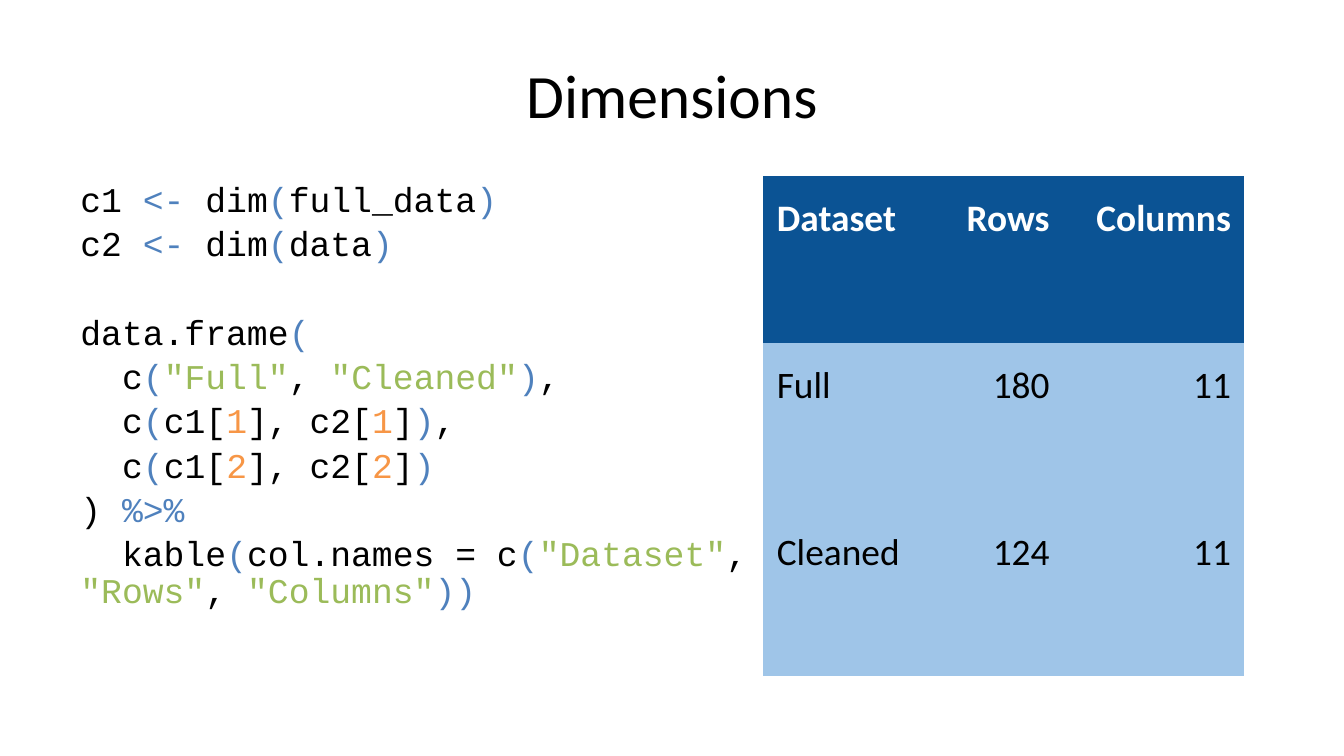
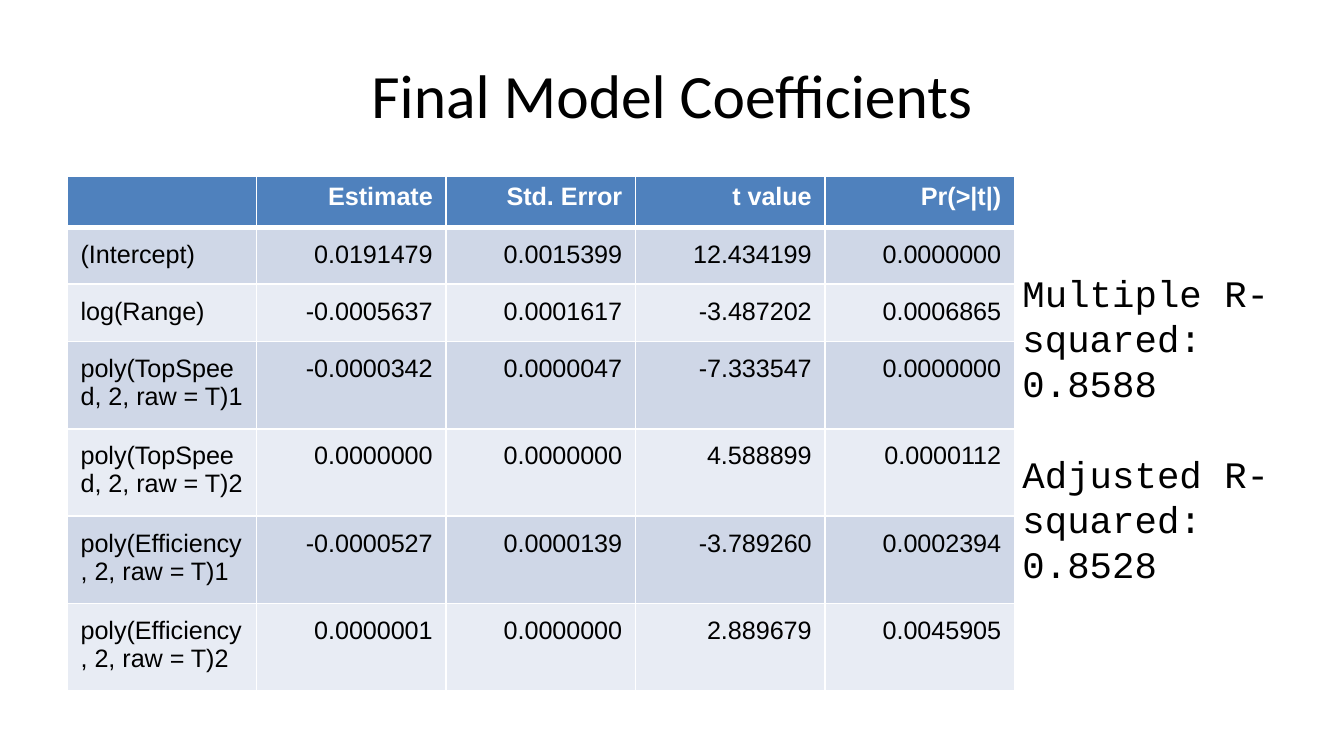
from dataclasses import dataclass
from typing import NamedTuple

from lxml.etree import SubElement
from pptx import Presentation
from pptx.dml.color import RGBColor
from pptx.enum.text import MSO_ANCHOR, PP_ALIGN
from pptx.oxml.ns import qn
from pptx.util import Inches, Pt

BLACK = RGBColor(0x00, 0x00, 0x00)
WHITE = RGBColor(0xFF, 0xFF, 0xFF)
BLUE = RGBColor(0x4F, 0x81, 0xBD)
GREEN = RGBColor(0x9B, 0xBB, 0x59)
ORANGE = RGBColor(0xF7, 0x96, 0x46)
NAVY = RGBColor(0x0B, 0x53, 0x94)
SKY = RGBColor(0x9F, 0xC5, 0xE8)
BAND_DARK = RGBColor(0xCF, 0xD7, 0xE7)
BAND_LIGHT = RGBColor(0xE8, 0xEC, 0xF4)

HEADING_FONT = "Calibri"
TABLE_FONT = "Arial"
CODE_FONT = "Courier New"
NO_TABLE_STYLE = "{2D5ABB26-0587-4C30-8999-92F81FD0307C}"
LEFT, CONTENT_TOP = 0.5, 1.31


class Span(NamedTuple):
    text: str
    color: RGBColor = BLACK


class Line(NamedTuple):
    spans: list[Span]
    space_before: float = 0


class Area(NamedTuple):
    left: float
    top: float
    width: float
    height: float


@dataclass
class TextStyle:
    font: str
    size: float
    line_spacing: float = 1.0
    align: PP_ALIGN = PP_ALIGN.LEFT
    anchor: MSO_ANCHOR = MSO_ANCHOR.TOP
    inset: float = 0.05


@dataclass
class TableStyle:
    text: TextStyle
    header_fill: RGBColor
    band_fills: list[RGBColor]
    header_inset: float = 0.1
    grid: bool = False


TITLE_STYLE = TextStyle(HEADING_FONT, 33, align=PP_ALIGN.CENTER, anchor=MSO_ANCHOR.MIDDLE)
CODE_STYLE = TextStyle(CODE_FONT, 18.6, 0.9)
FIT_STYLE = TextStyle(CODE_FONT, 20, inset=0.1)
DIMENSIONS_STYLE = TableStyle(TextStyle(HEADING_FONT, 20, 1.15), NAVY, [SKY])
COEFFICIENTS_STYLE = TableStyle(
    TextStyle(TABLE_FONT, 13.5), BLUE, [BAND_DARK, BAND_LIGHT], header_inset=0.05, grid=True
)


def operator(text: str) -> Span:
    return Span(text, BLUE)


def string(text: str) -> Span:
    return Span(f'"{text}"', GREEN)


def assign_line(name: str, data: str) -> list[Span]:
    return [Span(f"{name} "), operator("<-"), Span(" dim"), operator("("), Span(data), operator(")")]


def index_line(index: str) -> list[Span]:
    number = Span(index, ORANGE)
    return [Span("  c"), operator("("), Span("c1["), number, Span("], c2["), number, Span("]"), operator(")")]


CODE_GAP, CODE_BREAK = 3.6, 27.4
CODE = [
    Line(assign_line("c1", "full_data")),
    Line(assign_line("c2", "data"), CODE_GAP),
    Line([Span("data.frame"), operator("(")], CODE_BREAK),
    Line(
        [Span("  c"), operator("("), string("Full"), Span(", "), string("Cleaned"), operator(")"), Span(",")],
        CODE_GAP,
    ),
    Line(index_line("1") + [Span(",")], CODE_GAP),
    Line(index_line("2"), CODE_GAP),
    Line([Span(") "), operator("%>%")], CODE_GAP),
    Line(
        [
            Span("  kable"), operator("("), Span("col.names = c"), operator("("),
            string("Dataset"), Span(", "), string("Rows"), Span(", "), string("Columns"),
            operator("))"),
        ],
        CODE_GAP,
    ),
]

DIMENSIONS = [
    ["Dataset", "Rows", "Columns"],
    ["Full", "180", "11"],
    ["Cleaned", "124", "11"],
]

COEFFICIENTS = [
    ["", "Estimate", "Std. Error", "t value", "Pr(>|t|)"],
    ["(Intercept)", "0.0191479", "0.0015399", "12.434199", "0.0000000"],
    ["log(Range)", "-0.0005637", "0.0001617", "-3.487202", "0.0006865"],
    ["poly(TopSpeed, 2, raw = T)1", "-0.0000342", "0.0000047", "-7.333547", "0.0000000"],
    ["poly(TopSpeed, 2, raw = T)2", "0.0000000", "0.0000000", "4.588899", "0.0000112"],
    ["poly(Efficiency, 2, raw = T)1", "-0.0000527", "0.0000139", "-3.789260", "0.0002394"],
    ["poly(Efficiency, 2, raw = T)2", "0.0000001", "0.0000000", "2.889679", "0.0045905"],
]

FIT = [
    Line([Span("Multiple R-squared: 0.8588")]),
    Line([Span("Adjusted R-squared: 0.8528")], 25),
]


def add_span(para, span: Span, style: TextStyle, bold: bool = False) -> None:
    run = para.add_run()
    run.text = span.text
    run.font.name = style.font
    run.font.size = Pt(style.size)
    run.font.bold = bold
    run.font.color.rgb = span.color


def set_insets(target, side: float, vertical: float) -> None:
    target.margin_left = target.margin_right = Inches(side)
    target.margin_top = target.margin_bottom = Inches(vertical)


def add_text(page, area: Area, lines: list[Line], style: TextStyle) -> None:
    box = page.shapes.add_textbox(*map(Inches, area))
    frame = box.text_frame
    frame.word_wrap = True
    frame.vertical_anchor = style.anchor
    set_insets(frame, 0.1, style.inset)
    for index, line in enumerate(lines):
        para = frame.add_paragraph() if index else frame.paragraphs[0]
        para.alignment = style.align
        para.line_spacing = style.line_spacing
        para.space_before = Pt(line.space_before)
        for span in line.spans:
            add_span(para, span, style)


def add_borders(cell, bottom_width: float) -> None:
    properties = cell._tc.get_or_add_tcPr()
    for side, width in (("L", 1), ("R", 1), ("T", 1), ("B", bottom_width)):
        border = SubElement(properties, qn(f"a:ln{side}"), w=str(Pt(width)))
        fill = SubElement(border, qn("a:solidFill"))
        SubElement(fill, qn("a:srgbClr"), val=str(WHITE))


def fill_cell(cell, text: str, row: int, column: int, style: TableStyle) -> None:
    header = row == 0
    if style.grid:
        add_borders(cell, 3 if header else 1)
    cell.fill.solid()
    cell.fill.fore_color.rgb = style.header_fill if header else style.band_fills[(row - 1) % len(style.band_fills)]
    set_insets(cell, 0.1, style.header_inset if header else 0.1)
    para = cell.text_frame.paragraphs[0]
    para.alignment = PP_ALIGN.RIGHT if column else PP_ALIGN.LEFT
    para.line_spacing = style.text.line_spacing
    if text:
        add_span(para, Span(text, WHITE if header else BLACK), style.text, header)
    else:
        SubElement(para._p, qn("a:endParaRPr"), sz=str(int(style.text.size * 100)))


def add_data_table(
    page, left: float, values: list[list[str]], widths: list[float], heights: list[float], style: TableStyle
) -> None:
    area = Area(left, CONTENT_TOP, sum(widths), sum(heights))
    table = page.shapes.add_table(len(heights), len(widths), *map(Inches, area)).table
    table._tbl.tblPr.find(qn("a:tableStyleId")).text = NO_TABLE_STYLE
    for column, width in zip(table.columns, widths):
        column.width = Inches(width)
    for row, height in zip(table.rows, heights):
        row.height = Inches(height)
    for row, texts in enumerate(values):
        for column, text in enumerate(texts):
            fill_cell(table.cell(row, column), text, row, column, style)


def add_page(deck, title: str):
    page = deck.slides.add_slide(deck.slide_layouts[6])
    add_text(page, Area(LEFT, 0.23, 9, 0.94), [Line([Span(title)])], TITLE_STYLE)
    return page


def add_dimensions_page(deck) -> None:
    page = add_page(deck, "Dimensions")
    add_text(page, Area(LEFT, CONTENT_TOP, 5.18, 3.71), CODE, CODE_STYLE)
    add_data_table(page, 5.68, DIMENSIONS, [1.37, 0.86, 1.35], [1.24] * 3, DIMENSIONS_STYLE)


def add_coefficients_page(deck) -> None:
    page = add_page(deck, "Final Model Coefficients")
    heights = [0.38] + [0.42] * 2 + [0.65] * 4
    add_data_table(page, LEFT, COEFFICIENTS, [1.41] * 5, heights, COEFFICIENTS_STYLE)
    add_text(page, Area(7.51, 1.91, 2.1, 2.56), FIT, FIT_STYLE)


def main() -> None:
    deck = Presentation()
    deck.slide_width = Inches(10)
    deck.slide_height = deck.slide_width * 9 // 16
    add_dimensions_page(deck)
    add_coefficients_page(deck)
    deck.save("out.pptx")


if __name__ == "__main__":
    main()
